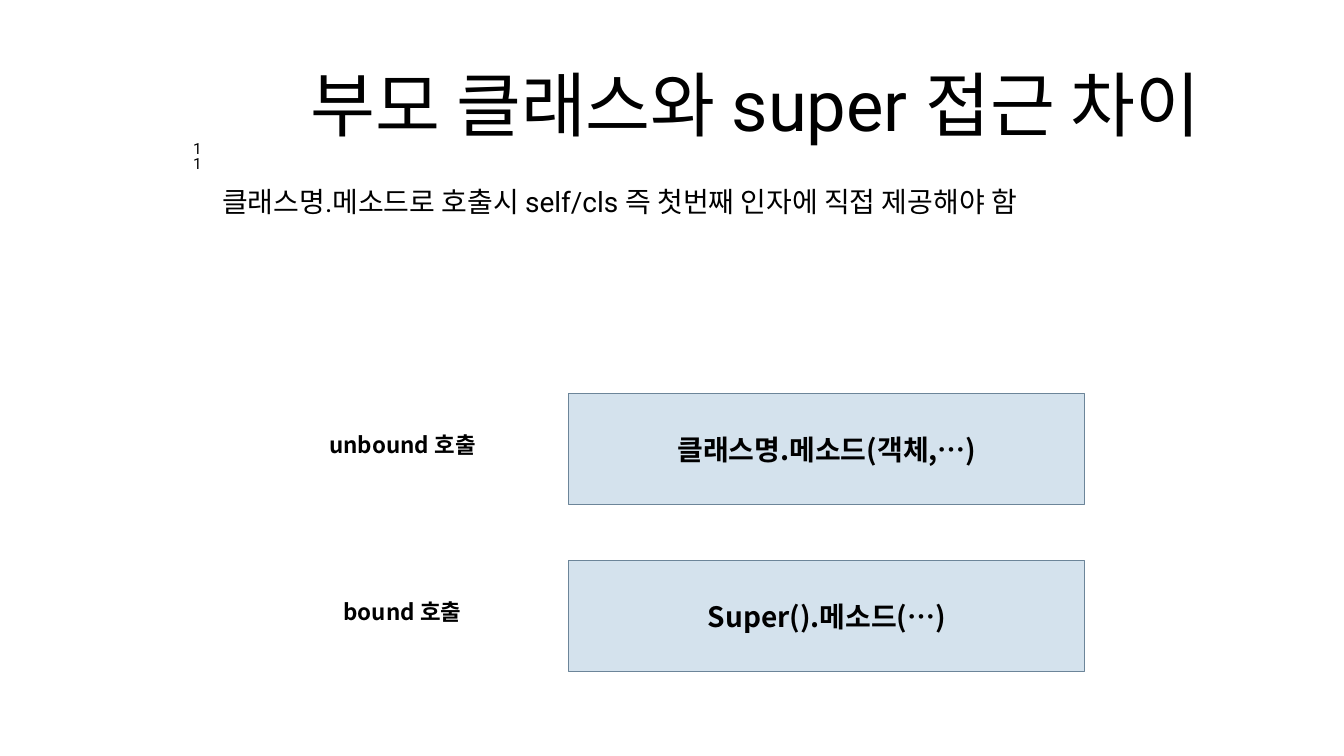
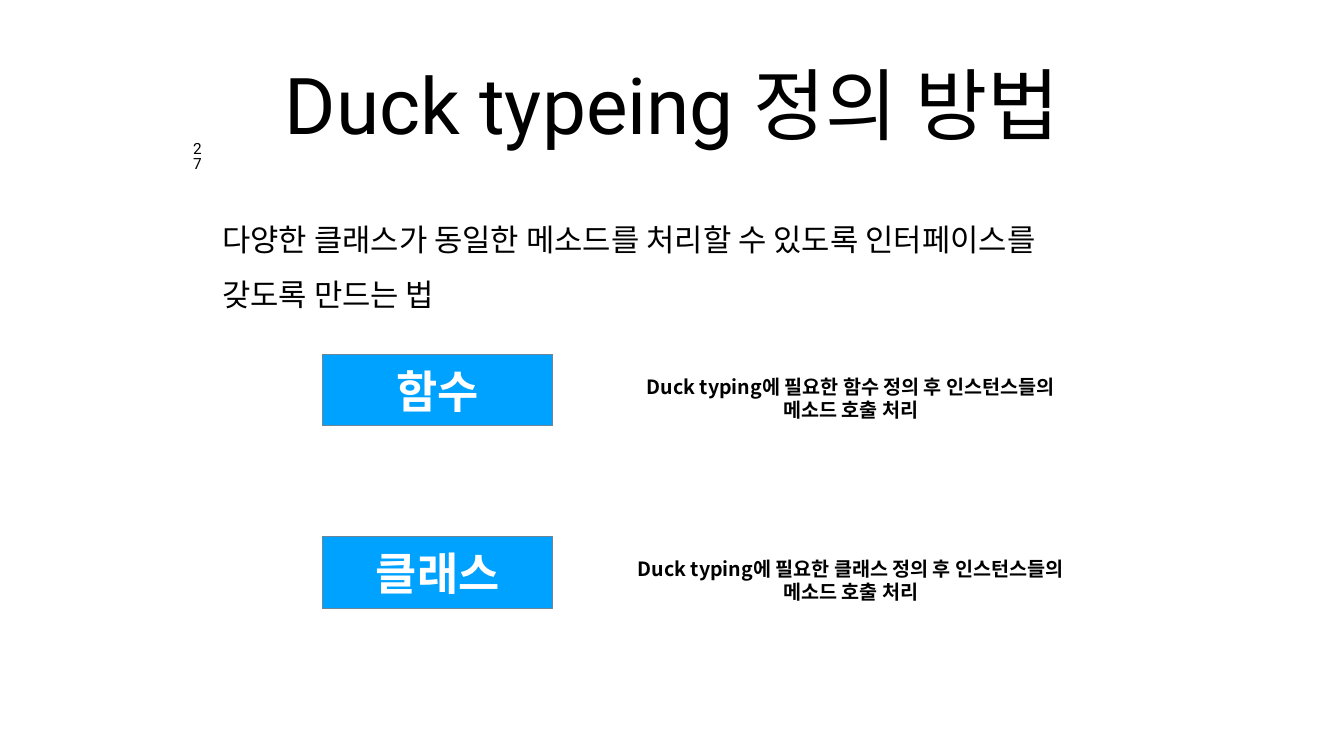
from pptx import Presentation
from pptx.dml.color import RGBColor
from pptx.enum.shapes import MSO_SHAPE
from pptx.enum.text import MSO_ANCHOR, PP_ALIGN
from pptx.util import Inches, Pt

RECTANGLE = MSO_SHAPE.RECTANGLE
TOP, MIDDLE = MSO_ANCHOR.TOP, MSO_ANCHOR.MIDDLE
LEFT, CENTER = PP_ALIGN.LEFT, PP_ALIGN.CENTER

HEADING_FONT = "Roboto"
LABEL_FONT = "Noto Sans CJK KR"
BLACK, WHITE = "000000", "FFFFFF"
PALE_BLUE, BRIGHT_BLUE, OUTLINE = "D4E2ED", "00A2FF", "6C8599"


def color(value):
    """Turn a hex string into a colour."""
    return RGBColor.from_string(value)


def write(shape, text, size, font=HEADING_FONT, ink=BLACK, bold=False,
          align=CENTER, anchor=TOP, margins=(0.08, 0.08), wrap=True):
    """Put one formatted paragraph into a shape and return it."""
    frame = shape.text_frame
    frame.text = text
    frame.word_wrap = wrap
    frame.vertical_anchor = anchor
    frame.margin_left = frame.margin_right = Inches(margins[0])
    frame.margin_top = frame.margin_bottom = Inches(margins[1])
    paragraph = frame.paragraphs[0]
    paragraph.alignment = align
    for run in paragraph.runs:
        run.font.name = font
        run.font.size = Pt(size)
        run.font.bold = bold
        run.font.color.rgb = color(ink)
    return paragraph


def add_text(slide, box, text, size, **style):
    """Add a text box at left, top, width, height."""
    shape = slide.shapes.add_textbox(*map(Inches, box))
    return write(shape, text, size, **style)


def add_heading(slide, title, size, width, number):
    """Add the title and the page number beside it."""
    add_text(slide, (4.8, 0.39, width, 3.32), title, size, anchor=MIDDLE)
    paragraph = add_text(slide, (3.67, 2.75, 0.5, 0.45), number, 22, wrap=False)
    paragraph.line_spacing = 0.8


def add_lead(slide, text, size, height, line_spacing, space_before, anchor=TOP):
    """Add the introductory sentence under the title."""
    paragraph = add_text(slide, (4.33, 3.66, 18, height), text, size,
                         align=LEFT, anchor=anchor)
    paragraph.line_spacing = line_spacing
    paragraph.space_before = Pt(space_before)


def add_panel(slide, box, text, size, fill, ink):
    """Add an outlined rectangle with a bold centred label."""
    shape = slide.shapes.add_shape(RECTANGLE, *map(Inches, box))
    shape.shadow.inherit = False
    shape.fill.solid()
    shape.fill.fore_color.rgb = color(fill)
    shape.line.color.rgb = color(OUTLINE)
    shape.line.width = Pt(1.5)
    write(shape, text, size, font=LABEL_FONT, ink=ink, bold=True,
          anchor=MIDDLE, margins=(0.1, 0.1))


def add_caption(slide, box, text, size):
    """Add a bold centred caption beside a panel."""
    add_text(slide, box, text, size, font=LABEL_FONT, bold=True,
             margins=(0.1, 0.05))


def add_call_rows(slide, left, top, pitch, rows):
    """Add rows of a call type followed by its syntax panel."""
    for index, (call_type, syntax) in enumerate(rows):
        row_top = top + index * pitch
        add_panel(slide, (left + 5.51, row_top, 10.24, 2.2), syntax, 40,
                  PALE_BLUE, BLACK)
        add_caption(slide, (left, row_top + 0.7, 4.41, 0.64), call_type, 32)


def add_definition_rows(slide, left, top, pitch, rows):
    """Add rows of a definition panel followed by its explanation."""
    for index, (kind, explanation) in enumerate(rows):
        row_top = top + index * pitch
        add_panel(slide, (left, row_top, 4.57, 1.42), kind, 64,
                  BRIGHT_BLUE, WHITE)
        add_caption(slide, (left + 5.99, row_top + 0.35, 8.98, 1.04),
                    explanation, 28)


def build_super_slide(slide):
    """Compare calls through the parent class and through super."""
    add_heading(slide, "부모 클래스와 super 접근 차이", 100.8, 20.39, "11")
    add_lead(slide, "클래스명.메소드로 호출시 self/cls 즉 첫번째 인자에 직접 제공해야 함",
             40, 3.06, 0.9, 12)
    add_call_rows(slide, 5.78, 7.81, 3.31, [
        ("unbound 호출", "클래스명.메소드(객체,…)"),
        ("bound 호출", "Super().메소드(…)"),
    ])


def build_duck_typing_slide(slide):
    """Show the two ways to define duck typing."""
    add_heading(slide, "Duck typeing 정의 방법", 112, 17.07, "27")
    add_lead(slide, "다양한 클래스가 동일한 메소드를 처리할 수 있도록 인터페이스를 갖도록 만드는 법",
             44, 2.9, 1.5, 59, anchor=MIDDLE)
    add_definition_rows(slide, 6.4, 7.03, 3.62, [
        (kind, f"Duck typing에 필요한 {kind} 정의 후 인스턴스들의 메소드 호출 처리")
        for kind in ("함수", "클래스")
    ])


def main():
    """Build and save the presentation."""
    presentation = Presentation()
    presentation.slide_width = Inches(26.67)
    presentation.slide_height = Inches(15)
    blank_layout = presentation.slide_layouts[6]
    for build in (build_super_slide, build_duck_typing_slide):
        build(presentation.slides.add_slide(blank_layout))
    presentation.save("out.pptx")


if __name__ == "__main__":
    main()
